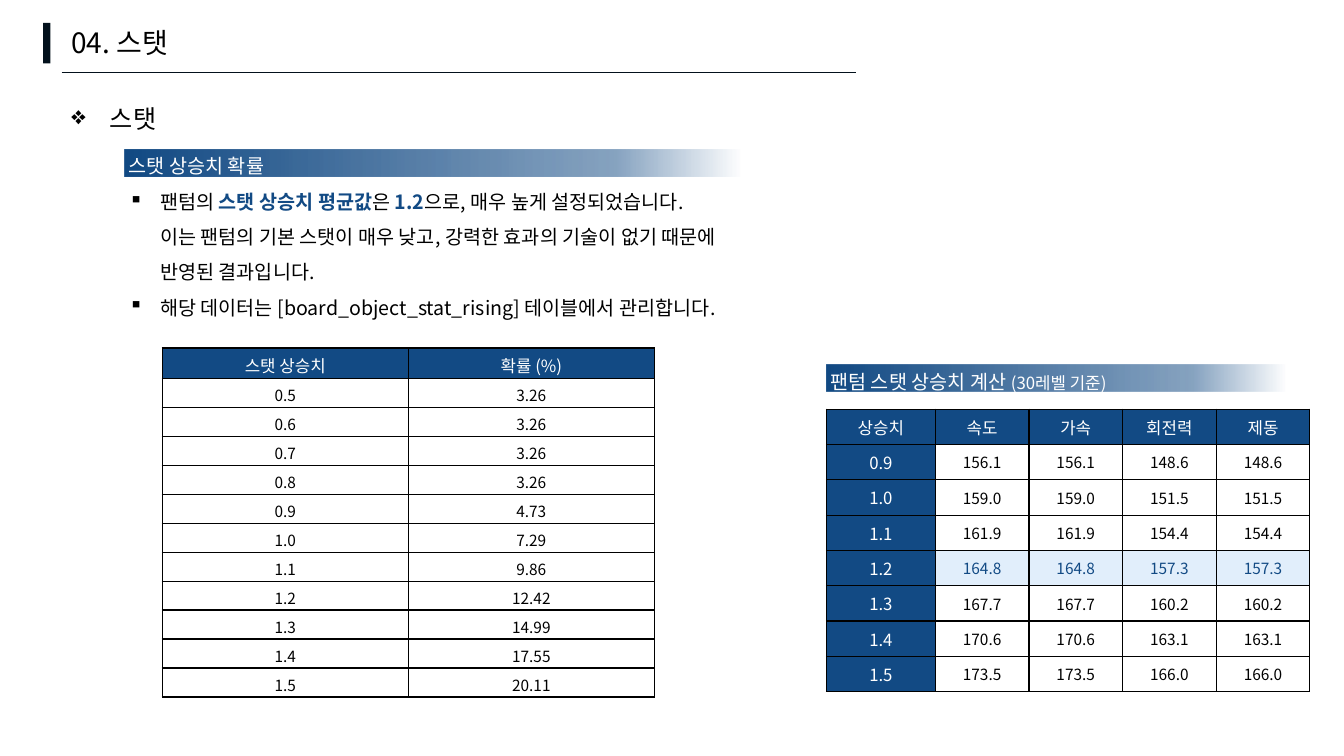
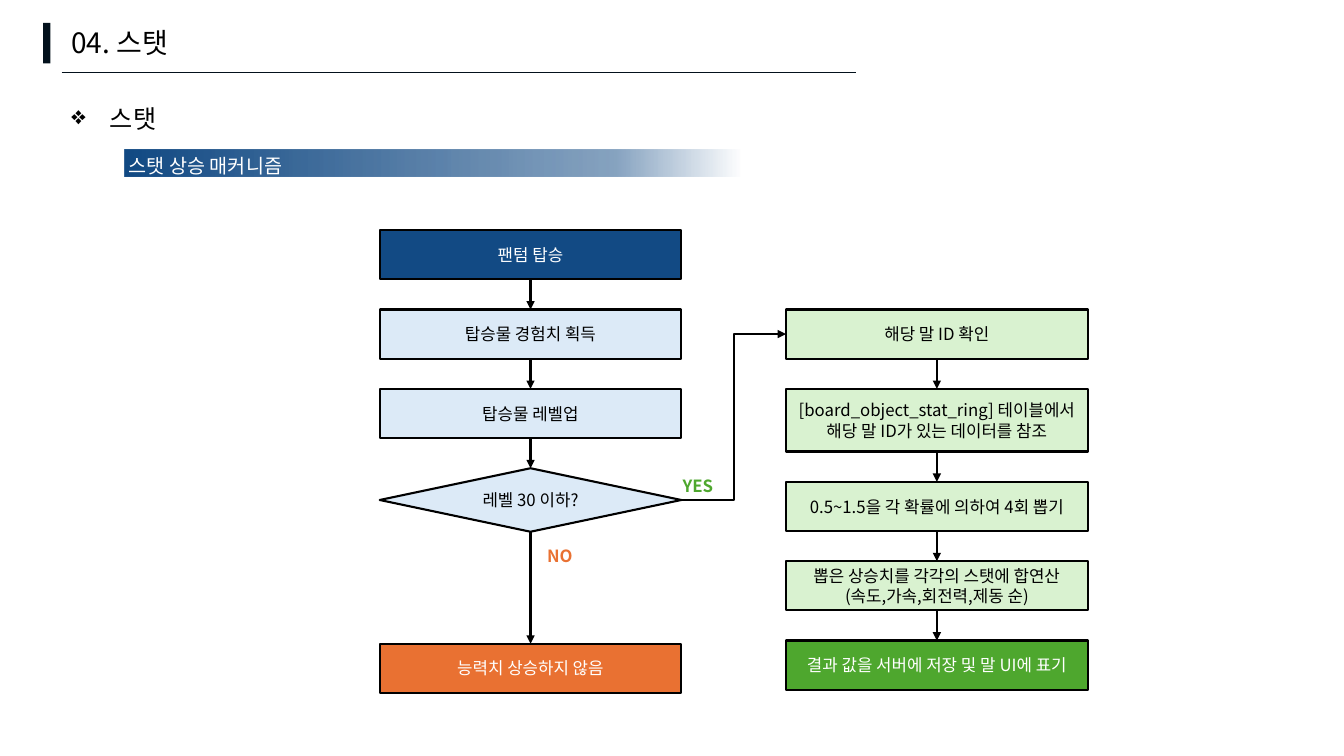
from pptx import Presentation
from pptx import util as u
from pptx.dml import color
from pptx.enum import shapes, text
from pptx.oxml import parse_xml
from pptx.oxml.ns import nsdecls, qn
from lxml import etree

FONT = "Noto Sans CJK KR"
NAVY, DARK, BLACK, WHITE = "124A84", "03111C", "000000", "FFFFFF"
PALE_BLUE, HIGHLIGHT, PALE_GREEN = "DCEAF7", "E1EEFB", "D9F2D0"
GREEN, ORANGE = "4EA72E", "E97132"
TOP, LEFT, BOTTOM, RIGHT = range(4)
STEP_WIDTH, STEP_HEIGHT, STEP_GAP = 7.6, 1.24, 0.76


def rgb(code):
    """Turn a hex string into a colour."""
    return color.RGBColor.from_string(code)


def style(run, size, ink, bold=False):
    """Format one run for both Latin and Korean letters."""
    run.font.name, run.font.size, run.font.bold = FONT, u.Pt(size), bold
    run.font.color.rgb = rgb(ink)
    etree.SubElement(run.font._element, qn("a:ea"), typeface=FONT)


def write(paragraph, pieces, align=text.PP_ALIGN.LEFT, spacing=None, bullet=None, indent=0.79):
    """Fill a paragraph with (text, size, ink, bold) pieces."""
    if bullet:
        props = paragraph._p.get_or_add_pPr()
        props.set("marL", str(u.Cm(indent)))
        props.set("indent", str(-u.Cm(indent)))
        etree.SubElement(props, qn("a:buChar"), char=bullet)
    paragraph.alignment = align
    if spacing:
        paragraph.line_spacing = spacing
    for words, size, *look in pieces:
        for number, line in enumerate(words.split("\n")):
            if number:
                paragraph.add_line_break()
                line_break = paragraph._p.findall(qn("a:br"))[-1]
                etree.SubElement(line_break, qn("a:rPr"), sz=str(size * 100))
            run = paragraph.add_run()
            run.text = line
            style(run, size, *look)


def text_box(slide, left, top, width, height):
    """Add a wrapping text box and return its frame."""
    frame = slide.shapes.add_textbox(u.Cm(left), u.Cm(top), u.Cm(width), u.Cm(height)).text_frame
    frame.word_wrap = True
    return frame


def block(slide, kind, left, top, width, height, fill, outline=None):
    """Add a flat shape with an optional outline."""
    shape = slide.shapes.add_shape(kind, u.Cm(left), u.Cm(top), u.Cm(width), u.Cm(height))
    shape.shadow.inherit = False
    shape.fill.solid()
    shape.fill.fore_color.rgb = rgb(fill)
    if outline:
        shape.line.color.rgb = rgb(outline)
        shape.line.width = u.Pt(1.5)
    else:
        shape.line.fill.background()
    return shape


def draw_line(slide, kind, ends, ink, weight):
    """Add a flat connector between two points given in cm."""
    line = slide.shapes.add_connector(kind, *(u.Cm(value) for value in ends))
    line.line.color.rgb = rgb(ink)
    line.line.width = u.Pt(weight)
    etree.SubElement(line._element.spPr, qn("a:effectLst"))
    return line


def arrow(slide, source, source_side, target, target_side, kind=shapes.MSO_CONNECTOR.STRAIGHT):
    """Join two steps with an arrow."""
    line = draw_line(slide, kind, (0, 0, 0, 0), BLACK, 1.5)
    line.begin_connect(source, source_side)
    line.end_connect(target, target_side)
    etree.SubElement(line.line._get_or_add_ln(), qn("a:tailEnd"), type="triangle")


def base_slide(deck):
    """Add a slide with the shared title, rule and topic."""
    slide = deck.slides.add_slide(deck.slide_layouts[6])
    block(slide, shapes.MSO_SHAPE.RECTANGLE, 1.09, 0.58, 0.18, 1.02, DARK)
    title = text_box(slide, 1.55, 0.51, 11.9, 1.12)
    write(title.paragraphs[0], [("04. 스탯", 20, BLACK)])
    draw_line(slide, shapes.MSO_CONNECTOR.STRAIGHT, (1.55, 1.83, 21.56, 1.83), DARK, 0.25)
    topic = text_box(slide, 1.55, 2.11, 24.2, 1.27)
    write(topic.paragraphs[0], [("스탯", 18, BLACK)], spacing=1.5, bullet="❖", indent=0.97)
    return slide


def section(slide, left, top, width, heading, points=()):
    """Add a fading band with its heading and the bullets below it."""
    band = block(slide, shapes.MSO_SHAPE.RECTANGLE, left, top, width, 0.67, NAVY)
    solid = band._element.spPr.find(qn("a:solidFill"))
    stops = "".join(
        f'<a:gs pos="{place * 1000}"><a:srgbClr val="{NAVY}"><a:alpha val="{alpha * 1000}"/></a:srgbClr></a:gs>'
        for place, alpha in ((0, 0), (20, 50), (100, 100)))
    fade = parse_xml(f'<a:gradFill {nsdecls("a")} rotWithShape="1"><a:gsLst>{stops}</a:gsLst>'
                     '<a:lin ang="10800000" scaled="0"/></a:gradFill>')
    solid.getparent().replace(solid, fade)
    frame = text_box(slide, left - 0.15, top - 0.31, width + 0.43, 1.04 + 1.2 * len(points))
    write(frame.paragraphs[0], heading, spacing=1.5)
    for point in points:
        write(frame.add_paragraph(), point, spacing=1.5, bullet="▪")


def grid(slide, left, top, widths, heights, rows, key_column=False, marked=None):
    """Add a bordered table with a navy header and an optional marked row."""
    frame = slide.shapes.add_table(len(rows), len(widths), u.Cm(left), u.Cm(top),
                                   u.Cm(sum(widths)), u.Cm(sum(heights)))
    table = frame.table
    for column, width in zip(table.columns, widths):
        column.width = u.Cm(width)
    for row, height in zip(table.rows, heights):
        row.height = u.Cm(height)
    for r, values in enumerate(rows):
        for c, value in enumerate(values):
            if r == 0 or (key_column and c == 0):
                fill, size, ink = NAVY, 12, WHITE
            elif values[0] == marked:
                fill, size, ink = HIGHLIGHT, 11, NAVY
            else:
                fill, size, ink = WHITE, 11, BLACK
            cell = table.cell(r, c)
            cell.vertical_anchor = text.MSO_ANCHOR.MIDDLE
            write(cell.text_frame.paragraphs[0], [(value, size, ink)], text.PP_ALIGN.CENTER)
            props = cell._tc.get_or_add_tcPr()
            for side in ("lnL", "lnR", "lnT", "lnB"):
                props.append(parse_xml(
                    f'<a:{side} {nsdecls("a")} w="{u.Pt(1)}"><a:solidFill><a:srgbClr val="{BLACK}"/>'
                    f'</a:solidFill></a:{side}>'))
            cell.fill.solid()
            cell.fill.fore_color.rgb = rgb(fill)


def flow(slide, left, top, steps):
    """Stack (text, fill, ink, height, gap above, kind) steps joined by arrows."""
    placed = []
    for words, fill, ink, height, gap, kind in steps:
        top += gap
        step = block(slide, kind, left, top, STEP_WIDTH, height, fill, BLACK)
        step.text_frame.word_wrap = True
        step.text_frame.vertical_anchor = text.MSO_ANCHOR.MIDDLE
        write(step.text_frame.paragraphs[0], [(words, 12, ink)], text.PP_ALIGN.CENTER)
        if placed:
            arrow(slide, placed[-1], BOTTOM, step, TOP)
        placed.append(step)
        top += height
    return placed


def step(words, fill, ink=BLACK, height=STEP_HEIGHT, gap=STEP_GAP, kind=shapes.MSO_SHAPE.RECTANGLE):
    """Describe one flow step."""
    return words, fill, ink, height, gap, kind


def branch_label(slide, left, top, words, ink):
    """Add the bold answer beside a branch."""
    frame = text_box(slide, left, top, 3.02, 0.94)
    write(frame.paragraphs[0], [(words, 12, ink, True)], text.PP_ALIGN.CENTER, 1.5)


def chance_slide(deck):
    """Build the slide with the rise chances and computed stats."""
    slide = base_slide(deck)
    section(slide, 3.15, 3.78, 15.5, [("스탯 상승치 확률", 14, WHITE)], [
        [("팬텀의 ", 14, BLACK), ("스탯 상승치 평균값", 14, NAVY, True), ("은 ", 14, BLACK),
         ("1.2", 14, NAVY, True),
         ("으로, 매우 높게 설정되었습니다.\n이는 팬텀의 기본 스탯이 매우 낮고, 강력한 효과의 기술이 없기 때문에\n"
          "반영된 결과입니다.", 14, BLACK)],
        [("해당 데이터는 [board_object_stat_rising] 테이블에서 관리합니다.", 14, BLACK)],
    ])
    chances = ["3.26"] * 4 + ["4.73", "7.29", "9.86", "12.42", "14.99", "17.55", "20.11"]
    rises = [f"{0.5 + n / 10:.1f}" for n in range(len(chances))]
    grid(slide, 4.09, 8.77, [6.2] * 2, [0.76] + [0.73] * len(chances),
         [("스탯 상승치", "확률 (%)"), *zip(rises, chances)])

    section(slide, 20.83, 9.2, 11.56,
            [("팬텀 스탯 상승치 계산 ", 14, WHITE), ("(30레벨 기준)", 12, WHITE)])
    stats = [("상승치", "속도", "가속", "회전력", "제동")]
    for n, rise in enumerate(rises[4:]):
        speed, turn = f"{156.1 + 2.9 * n:.1f}", f"{148.6 + 2.9 * n:.1f}"
        stats.append((rise, speed, speed, turn, turn))
    grid(slide, 20.83, 10.31, [2.74] + [2.36] * 4, [0.89] * len(stats), stats,
         key_column=True, marked="1.2")


def mechanism_slide(deck):
    """Build the slide with the stat rise flow."""
    slide = base_slide(deck)
    section(slide, 3.15, 3.78, 15.5, [("스탯 상승 매커니즘", 14, WHITE)])
    left, top = 9.57, 5.8
    riding = flow(slide, left, top, [
        step("팬텀 탑승", NAVY, WHITE, gap=0),
        step("탑승물 경험치 획득", PALE_BLUE),
        step("탑승물 레벨업", PALE_BLUE),
        step("레벨 30 이하?", PALE_BLUE, height=1.6, kind=shapes.MSO_SHAPE.DIAMOND),
        step("능력치 상승하지 않음", ORANGE, WHITE, gap=2.82),
    ])
    drawing = flow(slide, left + 10.24, top + STEP_HEIGHT + STEP_GAP, [
        step("해당 말 ID 확인", PALE_GREEN, gap=0),
        step("[board_object_stat_ring] 테이블에서 해당 말 ID가 있는 데이터를 참조", PALE_GREEN, height=1.58),
        step("0.5~1.5을 각 확률에 의하여 4회 뽑기", PALE_GREEN),
        step("뽑은 상승치를 각각의 스탯에 합연산\n(속도,가속,회전력,제동 순)", PALE_GREEN),
        step("결과 값을 서버에 저장 및 말 UI에 표기", GREEN, WHITE),
    ])
    level_check = riding[3]
    arrow(slide, level_check, RIGHT, drawing[0], LEFT, shapes.MSO_CONNECTOR.ELBOW)
    check_top = level_check.top.cm
    branch_label(slide, left + 3.03, check_top + 1.57, "NO", ORANGE)
    branch_label(slide, left + 6.51, check_top - 0.18, "YES", GREEN)


def main():
    """Build and save the deck."""
    deck = Presentation()
    deck.slide_width, deck.slide_height = u.Cm(33.87), u.Cm(19.05)
    chance_slide(deck)
    mechanism_slide(deck)
    deck.save("out.pptx")


if __name__ == "__main__":
    main()
